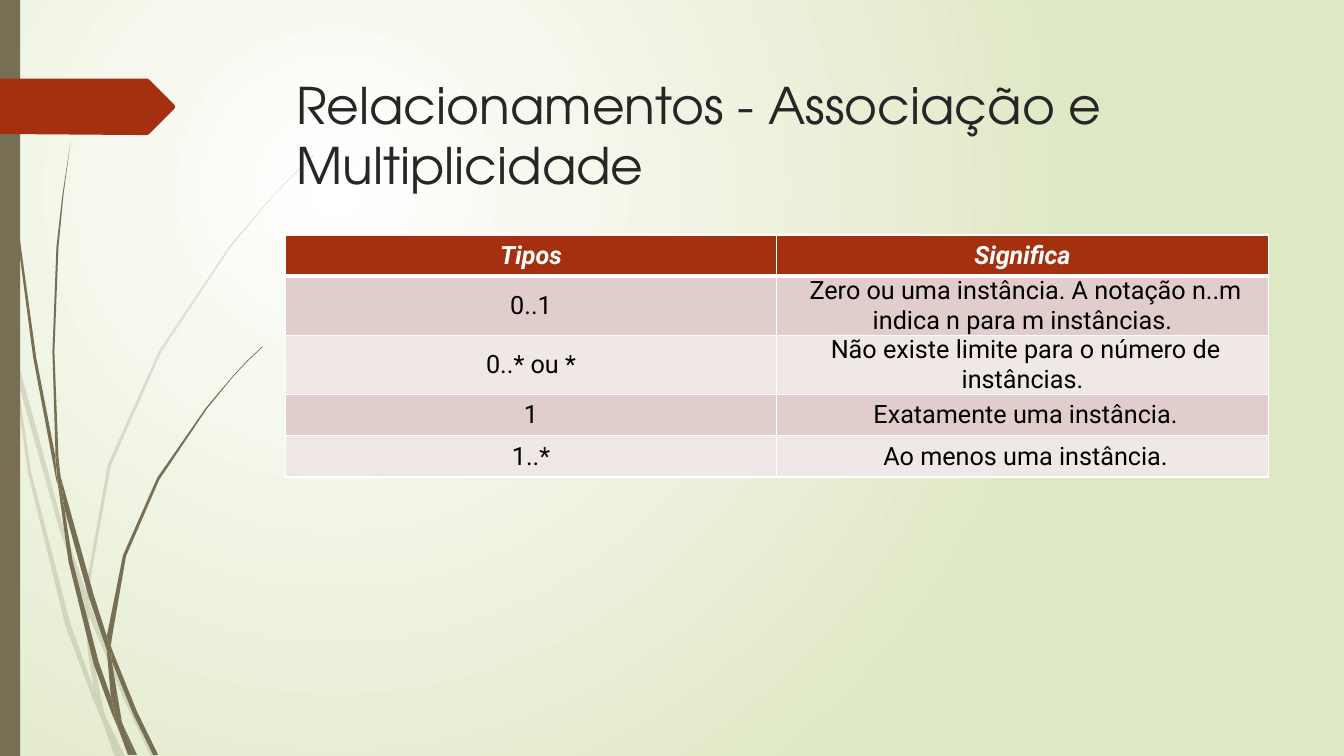
import pptx
import pptx.dml.color
import pptx.enum.dml
import pptx.enum.shapes
import pptx.enum.text
import pptx.oxml.ns
import pptx.util
from lxml import etree

Cm = pptx.util.Cm
Pt = pptx.util.Pt
UNIT = Cm(0.0254)  # outline points are in hundredths of an inch

COLORS = {
    "white": "FFFFFF", "lime": "DFE8C4", "olive": "766F54", "rust": "A53010",
    "ink": "262626", "black": "000000", "rose": "E1CDCC", "pale": "F0E8E7",
}

# Outlines of the grass, as x, y pairs
FAINT = [
    "11,350 9,322 0,282 0,299 10,344",
    "58,522 84,599 85,586 62,520 14,345 17,376",
    "92,607 88,596 88,610 123,694 150,751 155,751 127,692",
    "119,751 124,751 105,711",
    "93,683 70,619 31,469 17,376 11,350 28,470 65,621 92,693 101,714 99,707",
    "84,599 87,646 93,683 96,692 105,711 103,706 91,646 88,610 88,608",
    "88,584 110,462 160,349 229,245 268,198 290,175 312,154 312,153 289,175 "
    "268,197 228,244 158,348 107,461 85,584 85,586 88,596",
    "101,714 114,751 119,751",
    "88,608 88,610 88,596 85,586 84,599",
    "96,692 93,683 99,707 101,714 119,751 105,711",
]
DARK = [
    "7,110 17,233 33,355 56,477 57,481 55,457 55,453 36,355 19,232 8,109 "
    "5,48 4,0 3,0 4,48",
    "88,592 106,645 106,633 106,631 93,590 60,472 64,505",
    "113,649 110,641 111,656 132,708 152,749 157,749 136,706",
    "110,691 98,657 72,556 64,505 57,477 68,557 93,659 111,708 117,722 116,717",
    "60,472 58,453 54,349 58,245 63,193 70,141 62,193 56,245 52,349 55,449",
    "133,749 136,749 122,719",
    "57,477 64,505 60,472 55,449 55,453",
    "111,633 125,552 158,476 205,406 231,374 245,359 261,344 260,344 245,358 "
    "231,373 204,405 156,474 122,551 106,631 110,641",
    "117,722 127,749 131,749",
    "106,645 110,691 116,706 122,719 121,716 111,656 109,651",
    "106,645 109,651 111,656 110,641 106,631 106,633",
    "116,706 110,691 116,717 117,722 130,749 133,749 122,719",
]
ARROW = ("173,108 148,133 146,134 136,134 0,133 0,78 136,78 146,78 148,79 "
         "173,104 174,106")

ROWS = [
    ("Tipos", "Significa"),
    ("0..1", " Zero ou uma instância. A notação n..m indica n para m instâncias."),
    ("0..* ou *", " Não existe limite para o número de instâncias."),
    ("1", " Exatamente uma instância."),
    ("1..*", " Ao menos uma instância."),
]


def rgb(name):
    return pptx.dml.color.RGBColor.from_string(COLORS[name])


def child(parent, tag, **attrs):
    return etree.SubElement(parent, pptx.oxml.ns.qn(tag), **attrs)


class Deck:
    head_font = "TeX Gyre Adventor"
    body_font = "Roboto"

    def __init__(self):
        self.file = pptx.Presentation()
        self.file.slide_width = Cm(33.87)
        self.file.slide_height = Cm(19.05)
        self.slide = self.file.slides.add_slide(self.file.slide_layouts[5])

    def ground(self, inner, outer):
        fill = self.slide.background.fill
        fill.gradient()
        for stop, name in zip(fill.gradient_stops, (inner, outer)):
            stop.color.rgb = rgb(name)
        fill.gradient_stops[0].position = 0
        fill.gradient_stops[1].position = 1
        # Turn the linear gradient into a round one
        grad = self.slide.element.find(".//" + pptx.oxml.ns.qn("a:gradFill"))
        grad.remove(grad.find(pptx.oxml.ns.qn("a:lin")))
        ring = child(grad, "a:path")
        ring.set("path", "circle")
        child(ring, "a:fillToRect", l="50000", t="50000", r="100000", b="100000")

    def paint(self, shape, color, alpha=None):
        shape.shadow.inherit = False
        shape.line.fill.background()
        shape.fill.solid()
        shape.fill.fore_color.rgb = rgb(color)
        if alpha:
            tint = shape.element.spPr.find(".//" + pptx.oxml.ns.qn("a:srgbClr"))
            child(tint, "a:alpha", val=str(alpha * 1000))

    def outline(self, text, color, alpha=None, home=None):
        first, *rest = [tuple(map(int, dot.split(","))) for dot in text.split()]
        pen = (home or self.slide).shapes.build_freeform(*first, scale=UNIT)
        pen.add_line_segments(rest, close=True)
        self.paint(pen.convert_to_shape(), color, alpha)

    def grass(self, blades, color, alpha=None):
        group = self.slide.shapes.add_group_shape()
        for blade in blades:
            self.outline(blade, color, alpha, group)

    def bar(self, x, y, w, h, color):
        kind = pptx.enum.shapes.MSO_SHAPE.RECTANGLE
        shape = self.slide.shapes.add_shape(kind, Cm(x), Cm(y), Cm(w), Cm(h))
        self.paint(shape, color)

    def add_text(self, par, text, font, size, color, bold=False, slant=False):
        run = par.add_run()
        run.text = text
        run.font.name, run.font.size = font, Pt(size)
        run.font.bold, run.font.italic = bold, slant
        run.font.color.rgb = rgb(color)

    def title(self, text, x, y, w, h):
        shape = self.slide.shapes.title
        shape.left, shape.top, shape.width, shape.height = map(Cm, (x, y, w, h))
        frame = shape.text_frame
        frame.word_wrap = True
        frame.auto_size = pptx.enum.text.MSO_AUTO_SIZE.NONE
        frame.vertical_anchor = pptx.enum.text.MSO_ANCHOR.TOP
        par = frame.paragraphs[0]
        par.alignment = pptx.enum.text.PP_ALIGN.LEFT
        self.add_text(par, text, self.head_font, 36, "ink")
        # Bring the title in front of the grass
        shape.element.getparent().append(shape.element)

    def edge(self, cell, side, width):
        line = child(cell._tc.get_or_add_tcPr(), "a:ln" + side, w=str(Pt(width)))
        child(child(line, "a:solidFill"), "a:srgbClr", val=COLORS["white"])

    def table(self, rows, x, y, w, row_h):
        grid = self.slide.shapes.add_table(
            len(rows), len(rows[0]), Cm(x), Cm(y), Cm(w), Cm(row_h * len(rows))).table
        for r, row in enumerate(rows):
            grid.rows[r].height = Cm(row_h)
            head = r == 0
            back = "rust" if head else ("pale", "rose")[r % 2]
            for c, text in enumerate(row):
                cell = grid.cell(r, c)
                for side in "LRTB":
                    thick = (r, side) in ((0, "B"), (1, "T"))
                    self.edge(cell, side, 3 if thick else 1)
                cell.fill.solid()
                cell.fill.fore_color.rgb = rgb(back)
                cell.margin_left = cell.margin_right = 0
                cell.margin_top = cell.margin_bottom = 0
                cell.vertical_anchor = pptx.enum.text.MSO_ANCHOR.MIDDLE
                par = cell.text_frame.paragraphs[0]
                par.alignment = pptx.enum.text.PP_ALIGN.CENTER
                self.add_text(par, text, self.body_font, 18,
                              "white" if head else "black", head, head)


def main():
    deck = Deck()
    # Backdrop
    deck.ground("white", "lime")
    deck.grass(FAINT, "olive", 20)
    deck.grass(DARK, "olive")
    deck.bar(0, 0, 0.51, 19.05, "olive")
    deck.outline(ARROW, "rust")
    # Heading and table
    deck.title("Relacionamentos - Associação e Multiplicidade", 7.21, 1.73, 24.77, 3.56)
    deck.table(ROWS, 7.19, 5.92, 24.77, 1.04)
    deck.file.save("out.pptx")


if __name__ == "__main__":
    main()
